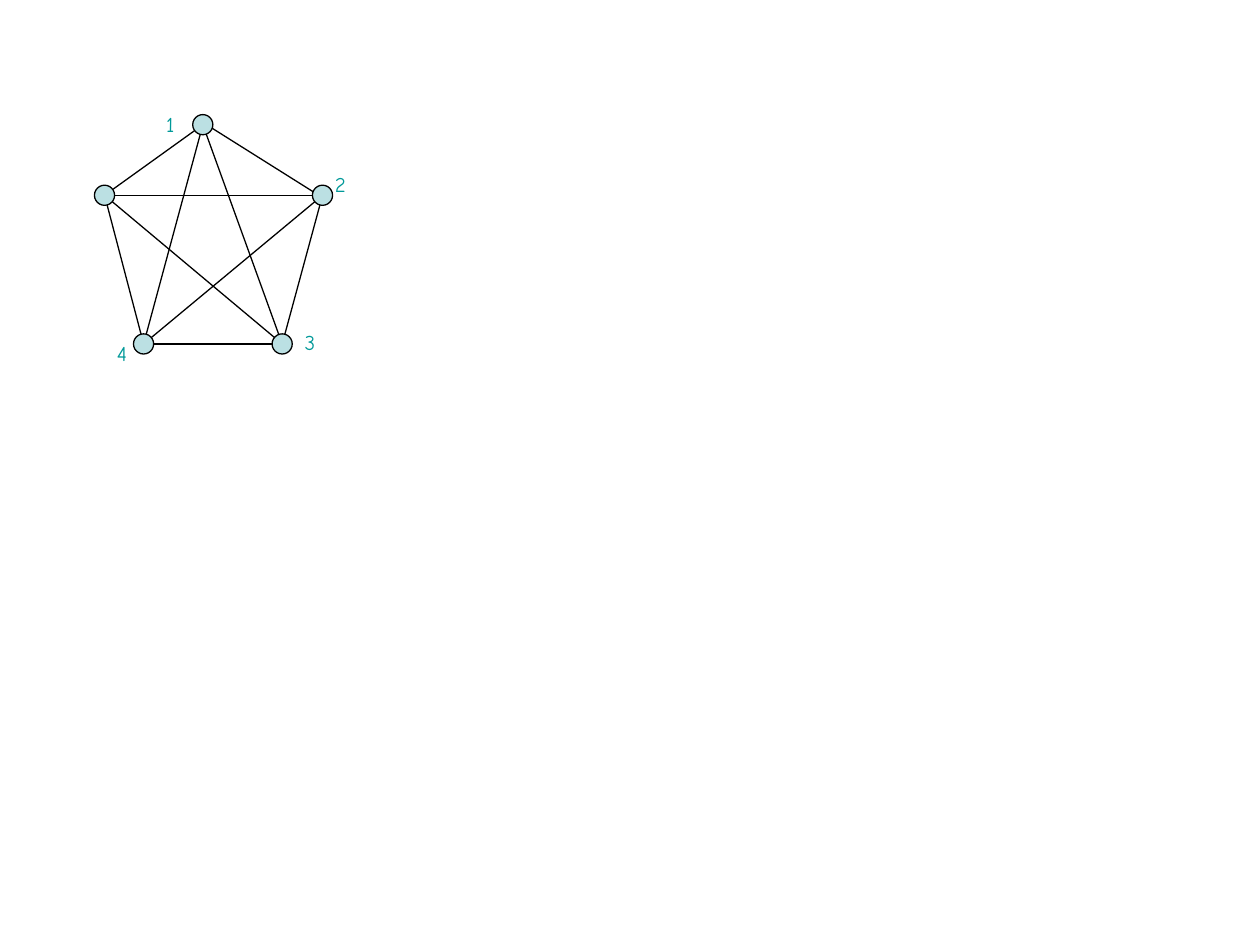
import itertools
import pptx
import pptx.dml.color
import pptx.enum.shapes
import pptx.enum.text
import pptx.util
import lxml.etree


def paint(code):
    return pptx.dml.color.RGBColor.from_string(code)


class Graph:
    ink, disc, teal = "000000", "BBE0E3", "009999"
    font, size, stroke = "Comic Neue", 12, 0.75
    cols, rows = 100, 75
    dot = 1.6

    def __init__(self, deck):
        self.deck = deck
        self.slide = deck.slides.add_slide(deck.slide_layouts[6])
        self.group = self.slide.shapes.add_group_shape().shapes

    def place(self, col, row):
        return (round(self.deck.slide_width * col / self.cols),
                round(self.deck.slide_height * row / self.rows))

    def rule(self, line):
        line.color.rgb = paint(self.ink)
        line.width = pptx.util.Pt(self.stroke)

    def edge(self, start, end, over=0):
        x1, y1 = start
        x2, y2 = end
        kind = pptx.enum.shapes.MSO_CONNECTOR.STRAIGHT
        link = self.group.add_connector(
            kind, *self.place(x1 - over, y1 - over), *self.place(x2 + over, y2 + over))
        self.rule(link.line)
        tag = pptx.oxml.ns.qn("a:effectLst")
        lxml.etree.SubElement(link._element.spPr, tag)

    def node(self, col, row):
        half = self.dot / 2
        oval = self.group.add_shape(
            pptx.enum.shapes.MSO_SHAPE.OVAL,
            *self.place(col - half, row - half), *self.place(self.dot, self.dot))
        oval.shadow.inherit = False
        oval.fill.solid()
        oval.fill.fore_color.rgb = paint(self.disc)
        self.rule(oval.line)

    def label(self, text, col, row, width=2.6):
        box = self.group.add_textbox(*self.place(col, row), *self.place(width, 3))
        frame = box.text_frame
        frame.word_wrap = True
        frame.auto_size = pptx.enum.text.MSO_AUTO_SIZE.SHAPE_TO_FIT_TEXT
        para = frame.paragraphs[0]
        para.space_before = pptx.util.Pt(7.5)
        run = para.add_run()
        run.text = text
        run.font.name = self.font
        run.font.size = pptx.util.Pt(self.size)
        run.font.color.rgb = paint(self.teal)


def main():
    deck = pptx.Presentation()
    deck.slide_width = pptx.util.Inches(10)
    deck.slide_height = pptx.util.Inches(7.5)
    graph = Graph(deck)

    top, right, low_right, low_left, left = nodes = [
        (16.1, 9.9), (25.6, 15.5), (22.4, 27.3), (11.4, 27.3), (8.3, 15.5)]

    for start, end in itertools.combinations(nodes, 2):
        graph.edge(start, end, 0.5 if (start, end) == (top, right) else 0)
    graph.label("2", 25.6, 13.1, 3.1)
    graph.label("1", 12.2, 8.4)
    for spot in (left, low_left, right, top, low_right):
        graph.node(*spot)
    graph.label("3", 23.2, 25.7)
    graph.label("4", 8.3, 26.5)

    deck.save("out.pptx")


if __name__ == "__main__":
    main()
